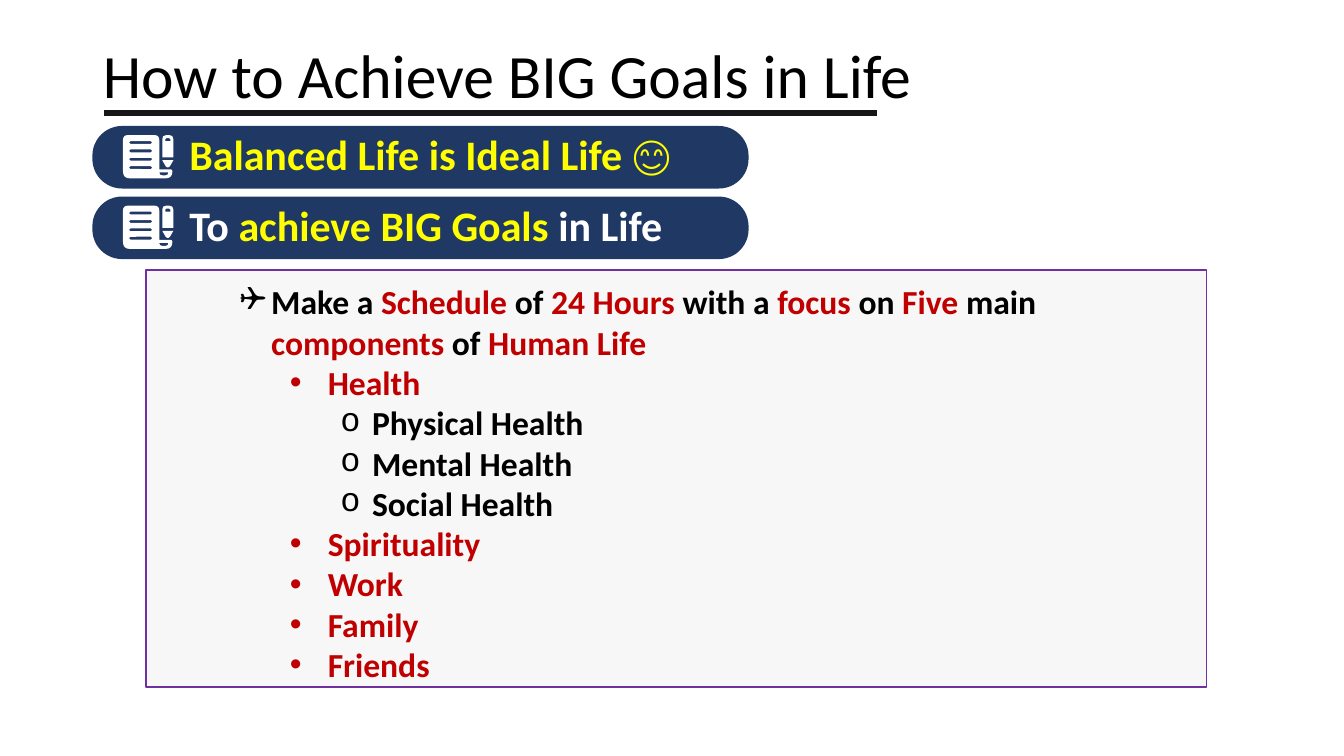
from lxml import etree
from pptx import Presentation
from pptx import util as u
from pptx.dml.color import RGBColor
from pptx.enum import shapes, text
from pptx.oxml import ns

COLOURS = {"black": "000000", "rule": "181717", "navy": "203864", "white": "FFFFFF",
           "yellow": "FFFF00", "red": "C00000", "grey": "D9D9D9", "purple": "7030A0"}
ICON_UNIT = 0.72


def rounded(corners):
    """Turn (x, y, radius) corners into (x, y, is_control) points in icon units."""
    points = []
    for i, (x, y, radius) in enumerate(corners):
        if not radius:
            points.append((x, y, False))
            continue
        ends = []
        for nx, ny, _ in (corners[i - 1], corners[(i + 1) % len(corners)]):
            length = ((nx - x) ** 2 + (ny - y) ** 2) ** 0.5
            ends.append((x + (nx - x) * radius / length,
                         y + (ny - y) * radius / length, False))
        points += [ends[0], (x, y, True), ends[1]]
    return points


def bar(left, top, right, bottom, radius):
    return [(left, top, radius), (right, top, radius),
            (right, bottom, radius), (left, bottom, radius)]


# Icon parts: each is an outline followed by its holes
SCROLL = [[(0, 0, 5), (36, 0, 5), (36, 34, 0), (49, 34, 2), (49, 43, 7), (0, 43, 7)]]
SCROLL += [bar(6, 6 + 8.3 * row, 29, 8.8 + 8.3 * row, 1.4) for row in range(4)]
SCROLL += [[(36, 37, 0), (45, 37, 0), (45, 40, 3), (36, 40, 3)]]
PENCIL_TIP = [[(39, 25, 0), (50, 25, 0), (46, 32, 1), (43, 32, 1)]]
PENCIL = [[(39, 0, 4), (50, 0, 4), (50, 22, 0), (39, 22, 0)],
          [(42, 3, 1), (47, 3, 1), (47, 6, 0), (42, 6, 0)]]


class SlideBuilder:
    def __init__(self, page, font="Calibri"):
        self.page = page
        self.font = font

    def colour(self, name):
        return RGBColor.from_string(COLOURS[name])

    def spans(self, para, parts, size, bold=True):
        for words, colour in parts:
            span = para.add_run()
            span.text = words
            span.font.name = self.font
            span.font.size = u.Pt(size)
            span.font.bold = bold
            span.font.color.rgb = self.colour(colour)

    def title(self, words, left, top, width, height):
        box = self.page.shapes.title
        box.left, box.top = u.Pt(left), u.Pt(top)
        box.width, box.height = u.Pt(width), u.Pt(height)
        frame = box.text_frame
        frame.auto_size = text.MSO_AUTO_SIZE.NONE
        frame.vertical_anchor = text.MSO_ANCHOR.TOP
        para = frame.paragraphs[0]
        para.alignment = text.PP_ALIGN.LEFT
        para.line_spacing = 0.9
        self.spans(para, [(words, "black")], 44, bold=False)

    def rule(self, left, right, y, colour, weight):
        line = self.page.shapes.add_connector(
            shapes.MSO_CONNECTOR.STRAIGHT, u.Pt(left), u.Pt(y), u.Pt(right), u.Pt(y))
        line.line.color.rgb = self.colour(colour)
        line.line.width = u.Pt(weight)
        etree.SubElement(line._element.spPr, ns.qn("a:effectLst"))

    def shape(self, kind, area, fill, line=None, opacity=None, corner=None):
        box = self.page.shapes.add_shape(kind, *map(u.Pt, area))
        self.paint(box, fill)
        if line:
            box.line.color.rgb = self.colour(line)
            box.line.width = u.Pt(1)
        if corner:
            box.adjustments[0] = corner
        if opacity:
            tint = box._element.spPr.find(ns.qn("a:solidFill"))[0]
            etree.SubElement(tint, ns.qn("a:alpha"), val=str(opacity * 1000))

    def paint(self, box, fill):
        box.shadow.inherit = False
        box.fill.solid()
        box.fill.fore_color.rgb = self.colour(fill)
        box.line.fill.background()

    def text_box(self, *area):
        frame = self.page.shapes.add_textbox(*map(u.Pt, area)).text_frame
        frame.word_wrap = True
        return frame

    def outline(self, area, lines):
        frame = self.text_box(*area)
        levels = {1: (58.5, -22.5, "Wingdings", "❑"), 2: (98.9, -27, "Arial", "•"),
                  3: (130.5, -22.5, "Courier New", "o")}
        for i, (level, parts) in enumerate(lines):
            para = frame.add_paragraph() if i else frame.paragraphs[0]
            para.level = level
            margin, hanging, mark_font, mark = levels[level]
            props = para._p.get_or_add_pPr()
            props.set("marL", str(u.Pt(margin)))
            props.set("indent", str(u.Pt(hanging)))
            etree.SubElement(props, ns.qn("a:buFont"), typeface=mark_font)
            etree.SubElement(props, ns.qn("a:buChar"), char=mark)
            self.spans(para, parts, 24)

    def curve(self, drawing, controls):
        """Join each control point and the point after it into one curve."""
        contour = drawing._element.spPr.find(".//" + ns.qn("a:path"))
        nodes = [node for node in contour if node.tag != ns.qn("a:close")]
        for i, is_control in enumerate(controls):
            if is_control:
                bend = etree.Element(ns.qn("a:quadBezTo"))
                contour.replace(nodes[i], bend)
                bend.append(nodes[i][0])
                bend.append(nodes[i + 1][0])
                contour.remove(nodes[i + 1])

    def icon(self, left, top):
        group = self.page.shapes.add_group_shape()
        for part in (SCROLL, PENCIL_TIP, PENCIL):
            builder, controls = None, []
            for corners in part:
                outline = rounded(corners)
                controls += [is_control for _, _, is_control in outline]
                points = [(u.Pt(x * ICON_UNIT), u.Pt(y * ICON_UNIT)) for x, y, _ in outline]
                if builder is None:
                    builder = group.shapes.build_freeform(*points[0])
                else:
                    builder.move_to(*points[0])
                builder.add_line_segments(points[1:], close=True)
            drawing = builder.convert_to_shape(u.Pt(left), u.Pt(top))
            self.curve(drawing, controls)
            self.paint(drawing, "white")

    def pill(self, top, width, parts):
        self.shape(shapes.MSO_SHAPE.ROUNDED_RECTANGLE, (66, top, 468.72, 44.64),
                   "navy", corner=0.474)
        frame = self.text_box(128.16, top - 1.6, width, 43.92)
        self.spans(frame.paragraphs[0], parts, 30)
        self.icon(87.84, top + 6.48)


def main():
    deck = Presentation()
    deck.slide_width, deck.slide_height = u.Pt(960), u.Pt(540)
    page = deck.slides.add_slide(deck.slide_layouts[5])
    slide = SlideBuilder(page)

    # Title and rule
    slide.title("How to Achieve BIG Goals in Life", 66.24, 28.5, 828, 56.88)
    slide.rule(74.6, 626.4, 80.64, "rule", 4.5)

    # Panel with the outline
    slide.shape(shapes.MSO_SHAPE.RECTANGLE, (104.4, 192.8, 757.44, 298.08),
                "grey", line="purple", opacity=20)
    schedule = [("Make a ", "black"), ("Schedule", "red"), (" of ", "black"),
                ("24 Hours ", "red"), ("with a ", "black"), ("focus", "red"),
                (" on ", "black"), ("Five", "red"), (" main ", "black"),
                ("components ", "red"), ("of ", "black"), ("Human Life", "red")]
    lines = [(1, schedule), (2, [("Health", "red")])]
    lines += [(3, [(kind + " Health", "black")]) for kind in ("Physical", "Mental", "Social")]
    lines += [(2, [(part, "red")]) for part in ("Spirituality", "Work", "Family", "Friends")]
    slide.outline((128.16, 197.28, 671.76, 298.08), lines)

    # Headline pills
    slide.pill(90, 518.4, [("Balanced Life is Ideal Life 😊", "yellow")])
    slide.pill(140.4, 370.08, [("To ", "white"), ("achieve BIG Goals ", "yellow"),
                               ("in Life", "white")])
    deck.save("out.pptx")


if __name__ == "__main__":
    main()
